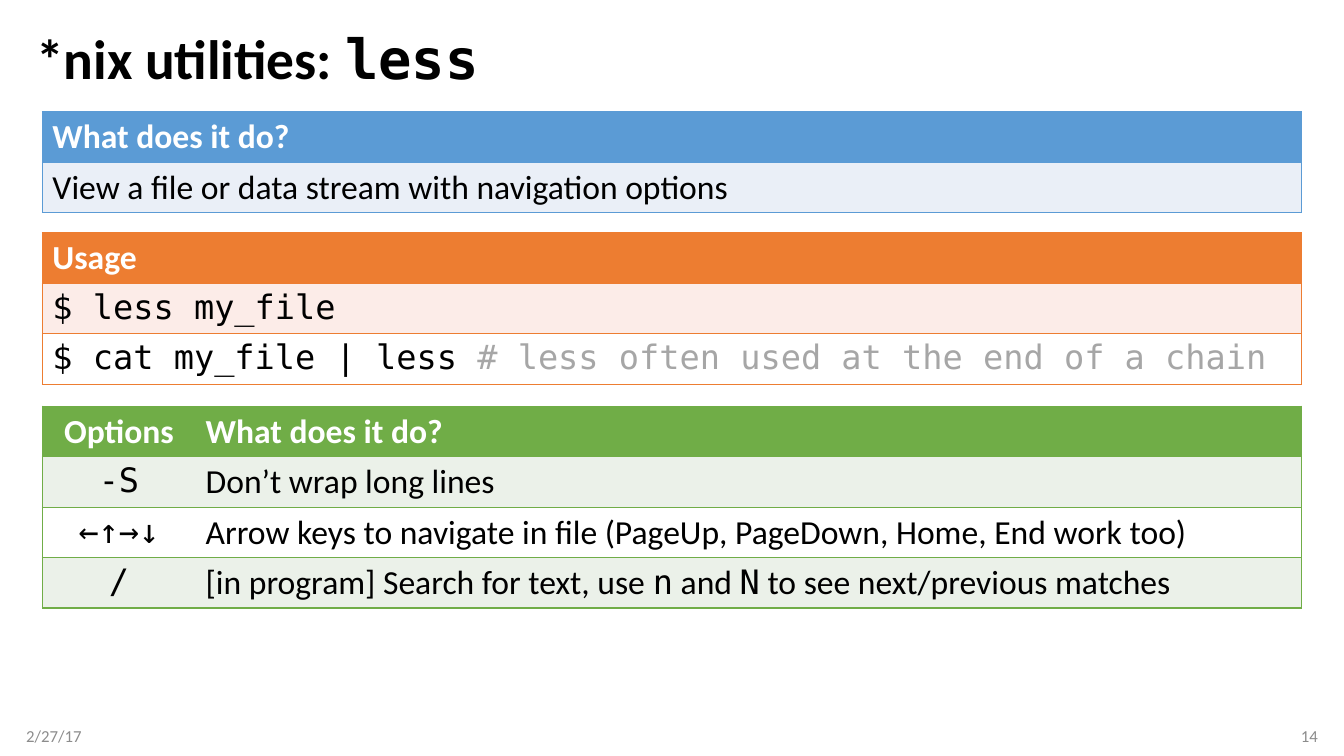
from lxml.etree import SubElement
from pptx import Presentation
from pptx.dml.color import RGBColor
from pptx.enum.text import MSO_ANCHOR, MSO_AUTO_SIZE, PP_ALIGN
from pptx.oxml.ns import qn
from pptx.util import Pt

PX = 9144  # 100 px to the inch
SANS, MONO = "Calibri", "DejaVu Sans Mono"
COLOURS = {
    "black": "000000", "white": "FFFFFF", "footer": "8C8C8C", "comment": "A6A6A6",
    "blue": "5B9BD5", "blue band": "EAEFF7",
    "orange": "ED7D31", "orange band": "FCECE8",
    "green": "70AD47", "green band": "EBF1E9",
}
# style: font, size, colour, bold
STYLES = {
    "title": (SANS, 39.6, "black", True),
    "title code": (MONO, 39.6, "black", True),
    "head": (SANS, 24, "white", True),
    "body": (SANS, 24, "black", False),
    "code": (MONO, 24, "black", False),
    "comment": (MONO, 24, "comment", False),
    "footer": (SANS, 12, "footer", False),
}
TABLE_LEFT, TABLE_WIDTH, ROW_HEIGHT = 42, 1249, 41


class SlideBuilder:
    def __init__(self, deck):
        self.page = deck.slides.add_slide(deck.slide_layouts[5])

    def add_text(self, frame, runs, align=PP_ALIGN.LEFT):
        """Fill the first paragraph with (text, style) runs."""
        para = frame.paragraphs[0]
        para.alignment = align
        for text, style in runs:
            font_name, size, colour, bold = STYLES[style]
            span = para.add_run()
            span.text = text
            span.font.name = font_name
            span.font.size = Pt(size)
            span.font.bold = bold
            span.font.color.rgb = RGBColor.from_string(COLOURS[colour])
        return para

    def title(self, left, top, width, height, runs):
        box = self.page.shapes.title
        box.left, box.top, box.width, box.height = (
            n * PX for n in (left, top, width, height))
        frame = box.text_frame
        frame.auto_size = MSO_AUTO_SIZE.NONE
        frame.vertical_anchor = MSO_ANCHOR.MIDDLE
        self.add_text(frame, runs).line_spacing = 0.9

    def footer(self, left, text, align):
        box = self.page.shapes.add_textbox(left * PX, 710 * PX, 300 * PX, 40 * PX)
        frame = box.text_frame
        frame.word_wrap = True
        frame.vertical_anchor = MSO_ANCHOR.MIDDLE
        if align == PP_ALIGN.LEFT:
            frame.margin_left = 0
        else:
            frame.margin_right = 0
        self.add_text(frame, [(text, "footer")], align)

    def table(self, top, colour, rows, widths=(TABLE_WIDTH,)):
        """Draw a header row and banded rows; the first of two columns is centred."""
        table = self.page.shapes.add_table(
            len(rows), len(widths), TABLE_LEFT * PX, top * PX,
            sum(widths) * PX, len(rows) * ROW_HEIGHT * PX).table
        table.horz_banding = False
        last = len(widths) - 1
        for column, width in zip(table.columns, widths):
            column.width = width * PX
        for i, row in enumerate(rows):
            fill = colour if i == 0 else f"{colour} band" if i % 2 else "white"
            for j, runs in enumerate(row):
                cell = table.cell(i, j)
                self.borders(cell, colour, left=j == 0, right=j == last)
                cell.fill.solid()
                cell.fill.fore_color.rgb = RGBColor.from_string(COLOURS[fill])
                centred = last > 0 and j == 0
                self.add_text(cell.text_frame, runs,
                              PP_ALIGN.CENTER if centred else PP_ALIGN.LEFT)

    def borders(self, cell, colour, left, right):
        properties = cell._tc.get_or_add_tcPr()
        for side, shown in (("L", left), ("R", right), ("T", True), ("B", True)):
            line = SubElement(properties, qn(f"a:ln{side}"), w=str(Pt(1)))
            if shown:
                paint = SubElement(line, qn("a:solidFill"))
                SubElement(paint, qn("a:srgbClr"), val=COLOURS[colour])
            else:
                SubElement(line, qn("a:noFill"))


def main():
    deck = Presentation()
    deck.slide_width, deck.slide_height = 1333 * PX, 750 * PX
    slide = SlideBuilder(deck)
    slide.title(26, 25, 1281, 72, [("*nix utilities: ", "title"), ("less", "title code")])
    slide.footer(26, "2/27/17", PP_ALIGN.LEFT)
    slide.footer(1007, "14", PP_ALIGN.RIGHT)
    slide.table(111, "blue", [
        [[("What does it do?", "head")]],
        [[("View a file or data stream with navigation options", "body")]],
    ])
    slide.table(231, "orange", [
        [[("Usage", "head")]],
        [[("$ less my_file", "code")]],
        [[("$ cat my_file | less ", "code"),
          ("# less often used at the end of a chain", "comment")]],
    ])
    slide.table(403, "green", [
        [[("Options", "head")], [("What does it do?", "head")]],
        [[("-S", "code")], [("Don’t wrap long lines", "body")]],
        [[("←↑→↓", "code")],
         [("Arrow keys to navigate in file (PageUp, PageDown, Home, End work too)", "body")]],
        [[("/", "code")],
         [("[in program] Search for text, use ", "body"), ("n", "code"), (" and ", "body"),
          ("N", "code"), (" to see next/previous matches", "body")]],
    ], widths=(152, 1097))
    deck.save("out.pptx")


if __name__ == "__main__":
    main()
